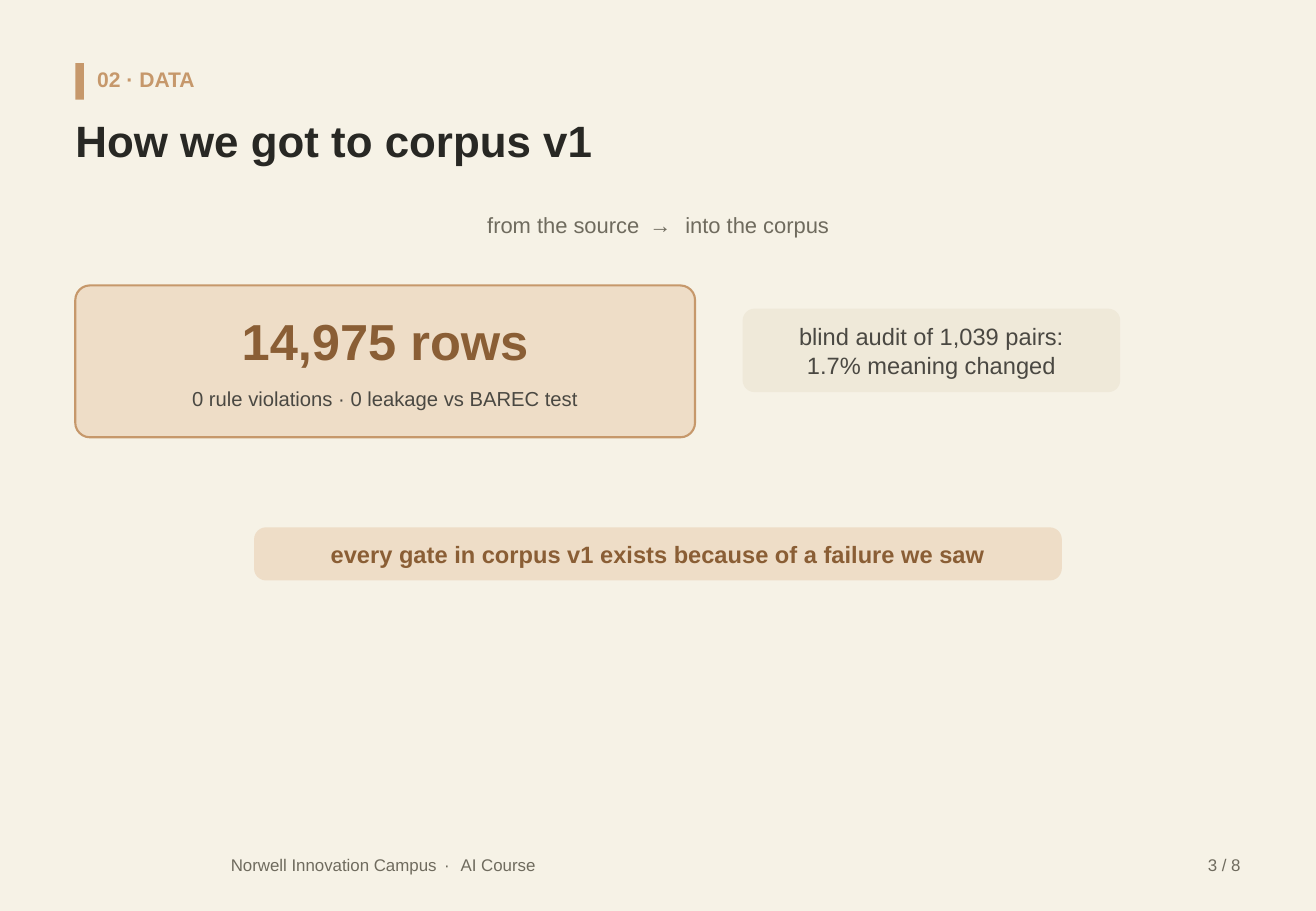
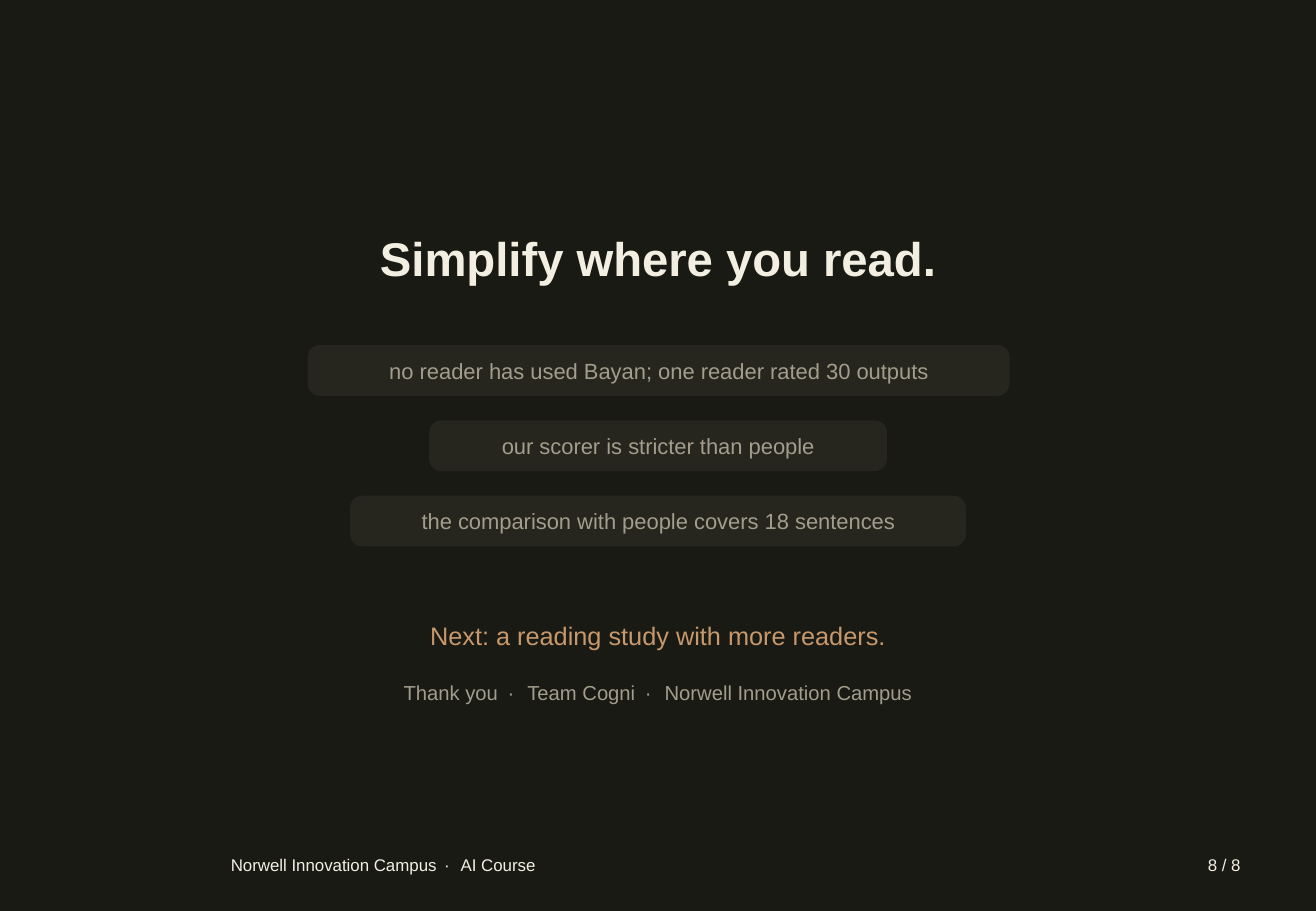
from pptx import Presentation
from pptx.dml.color import RGBColor
from pptx.enum.shapes import MSO_SHAPE
from pptx.enum.text import MSO_ANCHOR, MSO_AUTO_SIZE, PP_ALIGN
from pptx.util import Pt

PX = 9144
W, H = 1083, 750
MARGIN = 62
CONTENT_W = W - 2 * MARGIN
FONT = "Arial"
COURSE = "Norwell Innovation Campus"
C = {
    "paper": "F6F2E6", "ink": "282824", "muted": "6F6B5E", "body": "4A4842",
    "accent": "C6986B", "brown": "8A5E35", "tan": "EEDDC7", "sand": "EFE9D9",
    "night": "1A1A14", "panel": "26261E", "cream": "F2EFE2", "stone": "A29D8C",
}
LEFT, CENTER, RIGHT = PP_ALIGN.LEFT, PP_ALIGN.CENTER, PP_ALIGN.RIGHT


def rgb(name):
    """Return the named colour."""
    return RGBColor.from_string(C[name])


def emu(*lengths):
    """Turn px lengths into EMU."""
    return [n * PX for n in lengths]


def write(s, lines, size, color, bold=False, align=CENTER, inset=0):
    """Fill a shape with lines; a tuple line is joined by widely spaced dots."""
    tf = s.text_frame
    tf.auto_size = MSO_AUTO_SIZE.NONE
    tf.word_wrap = True
    tf.vertical_anchor = MSO_ANCHOR.MIDDLE
    tf.margin_left = tf.margin_right = inset * PX
    tf.margin_top = tf.margin_bottom = 0
    for i, line in enumerate(lines):
        p = tf.add_paragraph() if i else tf.paragraphs[0]
        p.alignment = align
        parts = (line,) if isinstance(line, str) else line
        for j, part in enumerate(parts):
            for text in ([" · "] if j else []) + [part]:
                r = p.add_run()
                r.text = text
                r.font.name, r.font.size, r.font.bold = FONT, Pt(size), bold
                r.font.color.rgb = rgb(color)
                if text == " · ":
                    r.font._element.set("spc", str(round(size * 18.5)))


def label(slide, box, line, size, color, **style):
    """Add a one-line text box."""
    write(slide.shapes.add_textbox(*emu(*box)), [line], size, color, **style)


def block(slide, box, fill, line=None, radius=0):
    """Add a filled rectangle, rounded when a radius is given."""
    kind = MSO_SHAPE.ROUNDED_RECTANGLE if radius else MSO_SHAPE.RECTANGLE
    s = slide.shapes.add_shape(kind, *emu(*box))
    s.shadow.inherit = False
    s.fill.solid()
    s.fill.fore_color.rgb = rgb(fill)
    if radius:
        s.adjustments[0] = radius / min(box[2:])
    if line:
        s.line.color.rgb = rgb(line)
        s.line.width = Pt(1.25)
    else:
        s.line.fill.background()
    return s


def pill(slide, box, lines, size, fill, color, bold=False):
    """Add a rounded panel holding centred text."""
    s = block(slide, box, fill, fill, radius=9)
    write(s, lines, size, color, bold, inset=12)


def centered(width):
    """Return the left edge that centres a width on the slide."""
    return round((W - width) / 2)


def base_slide(prs, ground, title, box, size, color, align, number, footer_color):
    """Add a slide with its ground, title and footer."""
    slide = prs.slides.add_slide(prs.slide_layouts[5])
    slide.background.fill.solid()
    slide.background.fill.fore_color.rgb = rgb(ground)
    s = slide.shapes.title
    s.left, s.top, s.width, s.height = emu(*box)
    write(s, [title], size, color, bold=True, align=align)
    footer(slide, (190, 698, W - MARGIN - 190, 28), number, footer_color)
    return slide


def footer(slide, box, number, color):
    """Place the course name and the page number at the ends of a box."""
    x, y, w, h = box
    label(slide, (x, y, 420, h), (COURSE, "AI Course"), 10, color, align=LEFT)
    label(slide, (x + w - 100, y, 100, h), f"{number} / 8", 10, color, align=RIGHT)


def section_tag(slide, box, text):
    """Place the accent bar and the section name."""
    x, y, w, h = box
    block(slide, (x, y + 4, 7, 30), "accent")
    label(slide, (x + 18, y, w - 18, h), text, 12.5, "accent", bold=True, align=LEFT)


def result_card(slide, box, figure, note):
    """Place the outlined card with a large figure and its note."""
    x, y, w, h = box
    block(slide, box, "tan", "accent", radius=12)
    label(slide, (x, y + 18, w, 55), figure, 30, "brown", bold=True)
    label(slide, (x, y + 78, w, 30), note, 12, "body")


def caveats(slide, top, pitch, items):
    """Stack centred pills at an equal pitch."""
    for i, (width, text) in enumerate(items):
        box = (centered(width), top + i * pitch, width, 40)
        pill(slide, box, [text], 13, "panel", "stone")


def data_slide(prs):
    """Build the corpus slide."""
    slide = base_slide(prs, "paper", "How we got to corpus v1",
                       (MARGIN, 88, CONTENT_W, 55), 26, "ink", LEFT, 3, "muted")
    section_tag(slide, (MARGIN, 48, CONTENT_W, 34), "02 · DATA")
    s = slide.shapes.add_textbox(*emu(MARGIN, 170, CONTENT_W, 30))
    write(s, ["from the source → into the corpus"], 13, "muted")
    p = s.text_frame.paragraphs[0]
    p.runs[0].text = "from the source"
    for text in (" → ", "into the corpus"):
        r = p.add_run()
        r.text = text
        r.font.name, r.font.size = FONT, Pt(13)
        r.font.color.rgb = rgb("muted")
    p.runs[1].font._element.set("spc", "240")
    result_card(slide, (MARGIN, 235, 510, 125), "14,975 rows",
                "0 rule violations · 0 leakage vs BAREC test")
    pill(slide, (612, 255, 309, 67),
         ["blind audit of 1,039 pairs:", "1.7% meaning changed"], 14, "sand", "body")
    pill(slide, (centered(663), 435, 663, 42),
         ["every gate in corpus v1 exists because of a failure we saw"],
         14, "tan", "brown", bold=True)


def closing_slide(prs):
    """Build the closing slide."""
    slide = base_slide(prs, "night", "Simplify where you read.",
                       (0, 185, W, 55), 28, "cream", CENTER, 8, "cream")
    caveats(slide, 285, 62, [
        (576, "no reader has used Bayan; one reader rated 30 outputs"),
        (375, "our scorer is stricter than people"),
        (505, "the comparison with people covers 18 sentences"),
    ])
    label(slide, (0, 505, W, 36), "Next: a reading study with more readers.", 15, "accent")
    label(slide, (0, 555, W, 30), ("Thank you", "Team Cogni", COURSE), 12, "stone")


def main():
    """Build and save the presentation."""
    prs = Presentation()
    prs.slide_width, prs.slide_height = emu(W, H)
    data_slide(prs)
    closing_slide(prs)
    prs.save("out.pptx")


if __name__ == "__main__":
    main()
